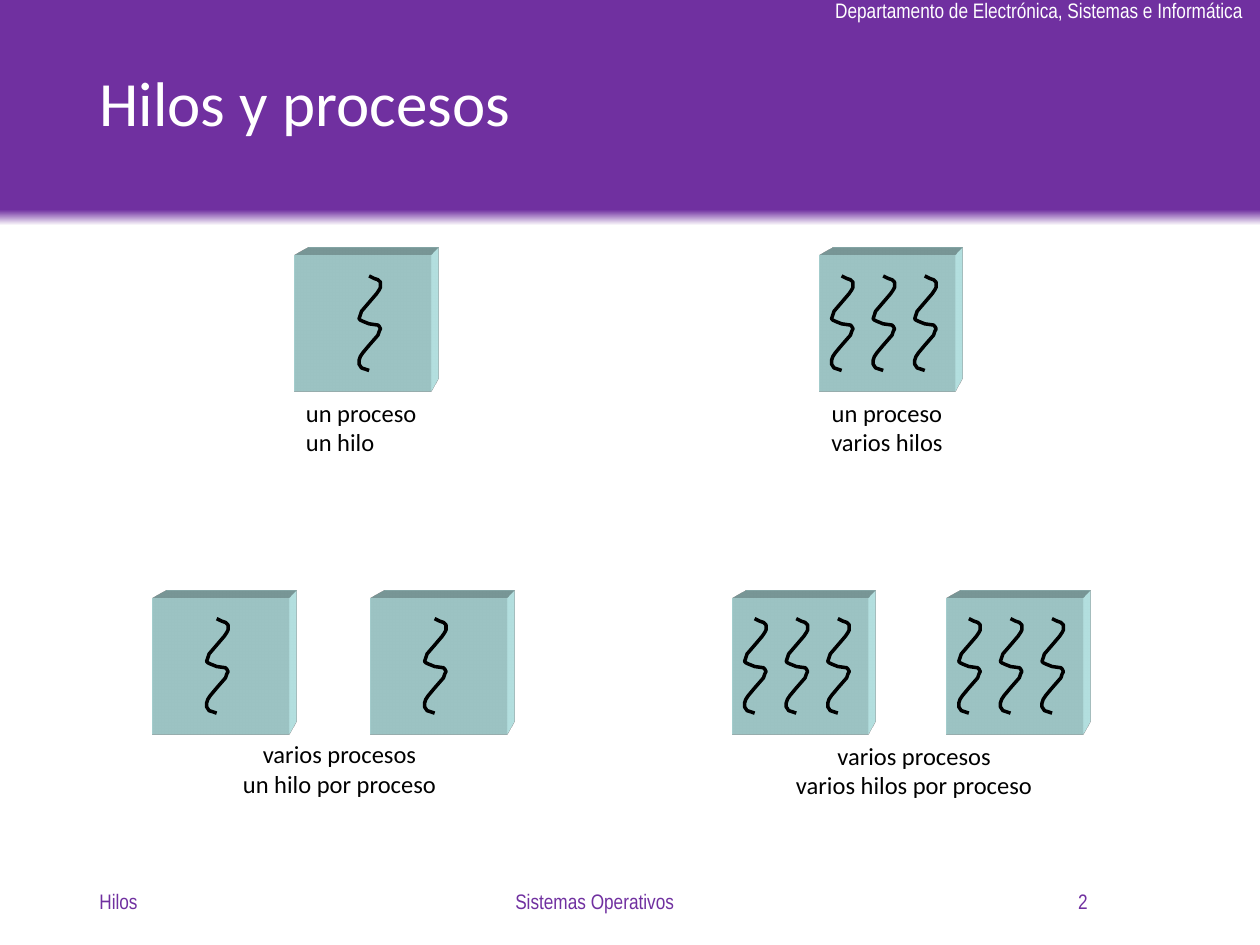
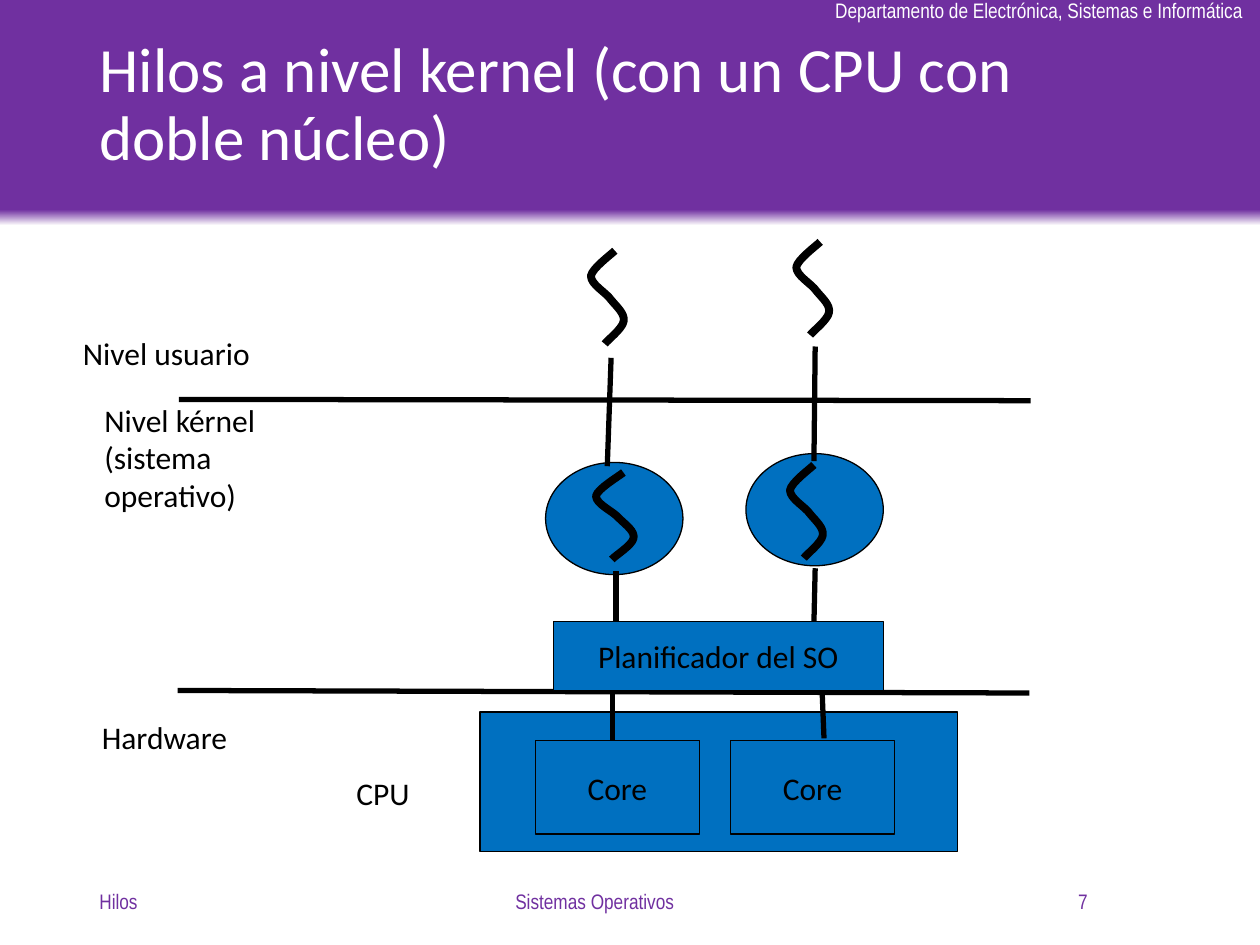
from copy import deepcopy

from lxml import etree
from pptx import Presentation
from pptx.dml.color import RGBColor
from pptx.enum.shapes import MSO_CONNECTOR, MSO_SHAPE
from pptx.enum.text import MSO_ANCHOR, MSO_AUTO_SIZE, PP_ALIGN
from pptx.oxml import parse_xml
from pptx.oxml.ns import nsdecls, qn
from pptx.util import Inches, Pt

RECT, OVAL = MSO_SHAPE.RECTANGLE, MSO_SHAPE.OVAL
LEFT, CENTER, RIGHT = PP_ALIGN.LEFT, PP_ALIGN.CENTER, PP_ALIGN.RIGHT
TOP, MIDDLE = MSO_ANCHOR.TOP, MSO_ANCHOR.MIDDLE
GROW = MSO_AUTO_SIZE.SHAPE_TO_FIT_TEXT
STRAIGHT = MSO_CONNECTOR.STRAIGHT

COLORS = {
    "purple": "7030A0", "white": "FFFFFF", "black": "000000",
    "blue": "0070C0", "cube": "CCFFFF",
}
BODY, NARROW = "Calibri", "Arial Narrow"
CUBE = 1.08

# Thin thread inside a process cube
THREAD = [
    (.08, 0), (.12, .02), (.15, .03), (.17, .05), (.17, .09), (.16, .11),
    (.14, .14), (.08, .21), (.02, .28), (.01, .31), (0, .34), (.01, .35),
    (.03, .36), (.08, .38), (.15, .39), (.16, .4), (.17, .42), (.16, .44),
    (.15, .47), (.08, .55), (.03, .61), (.01, .64), (0, .67), (0, .7),
    (.02, .73), (.05, .74), (.08, .75),
]
# Thick thread: start point, then two controls and an end for each curve
WAVE_SIZE = (.27, .74)
WAVE = [
    (.19, 0),
    (.16, .03), (.01, .14), (0, .2),
    (0, .27), (.12, .33), (.16, .39),
    (.21, .45), (.27, .5), (.26, .56),
    (.25, .62), (.13, .71), (.11, .74),
]

# Perspective depth of the process cubes
SCENE = f"""<a:scene3d {nsdecls('a')}>
  <a:camera prst="legacyPerspectiveTopRight"/>
  <a:lightRig rig="legacyFlat3" dir="b"/>
</a:scene3d>"""
EXTRUSION = f"""<a:sp3d {nsdecls('a')} extrusionH="430200"
    prstMaterial="legacyMatte">
  <a:bevelT w="13500" h="13500" prst="angle"/>
  <a:bevelB w="13500" h="13500" prst="angle"/>
  <a:extrusionClr><a:srgbClr val="{COLORS['cube']}"/></a:extrusionClr>
</a:sp3d>"""


def rgb(name):
    return RGBColor.from_string(COLORS[name])


def set_line(line, width):
    line.color.rgb = rgb("black")
    line.width = Pt(width)


def write(tf, text, size, color="black", font=BODY, align=LEFT, anchor=TOP,
          wrap=False, spacing=None):
    tf.word_wrap = wrap
    tf.vertical_anchor = anchor
    tf.text = text
    for p in tf.paragraphs:
        p.alignment = align
        p.line_spacing = spacing
        for r in p.runs:
            r.font.size = Pt(size)
            r.font.name = font
            r.font.color.rgb = rgb(color)


def add_text(s, box, text, size, grow=True, **style):
    sp = s.shapes.add_textbox(*map(Inches, box))
    write(sp.text_frame, text, size, **style)
    if grow:
        sp.text_frame.auto_size = GROW


def add_box(s, kind, box, color="blue", outline=.75, text=None):
    sp = s.shapes.add_shape(kind, *map(Inches, box))
    sp.shadow.inherit = False
    sp.fill.solid()
    sp.fill.fore_color.rgb = rgb(color)
    if outline:
        set_line(sp.line, outline)
    else:
        sp.line.fill.background()
    if text:
        write(sp.text_frame, text, 18, align=CENTER, anchor=MIDDLE)
    return sp


def add_stroke(s, points, width):
    """Open outline without fill."""
    pts = [(Inches(x), Inches(y)) for x, y in points]
    builder = s.shapes.build_freeform(*pts[0])
    builder.add_line_segments(pts[1:], close=False)
    sp = builder.convert_to_shape()
    sp.shadow.inherit = False
    sp.fill.background()
    set_line(sp.line, width)
    return sp


def add_line(s, x1, y1, x2, y2, arrow=False):
    c = s.shapes.add_connector(STRAIGHT, *map(Inches, (x1, y1, x2, y2)))
    set_line(c.line, 3)
    if arrow:
        ln = c.line._get_or_add_ln()
        etree.SubElement(ln, qn("a:tailEnd")).set("type", "triangle")
    etree.SubElement(c._element.spPr, qn("a:effectLst"))


def add_band(s):
    sp = s.shapes.add_shape(RECT, 0, 0, Inches(10), Inches(1.79))
    sp.shadow.inherit = False
    sp.line.fill.background()
    sp.fill.gradient()
    sp.fill.gradient_angle = 90
    stops = sp.fill.gradient_stops
    for stop, color, position in zip(stops, ("white", "purple"), (0, .07)):
        stop.color.rgb = rgb(color)
        stop.position = position
    # Solid purple from the second stop on
    gs_list = sp._element.spPr.find(".//" + qn("a:gsLst"))
    last = deepcopy(gs_list[-1])
    last.set("pos", "100000")
    gs_list.append(last)


def new_slide(prs, title, number):
    """Blank slide with band, department, title and footers."""
    s = prs.slides.add_slide(prs.slide_layouts[6])
    add_band(s)
    add_text(s, (6.53, -.07, 3.48, .3),
             "Departamento de Electrónica, Sistemas e Informática", 12,
             color="white", font=NARROW)
    add_text(s, (.69, .15, 8.62, 1.39), title, 36, grow=False, color="white",
             anchor=MIDDLE, wrap=True, spacing=.9)
    for x, w, text, align in ((.69, 2.25, "Hilos", LEFT),
                              (3.03, 3.38, "Sistemas Operativos", CENTER),
                              (6.48, 2.25, str(number), RIGHT)):
        add_text(s, (x, 6.95, w, .4), text, 12, grow=False, color="purple",
                 font=NARROW, align=align, anchor=MIDDLE, wrap=True)
    return s


def add_process(s, x, y, threads):
    """Extruded cube with threads at the given offsets."""
    sp = add_box(s, RECT, (x, y, CUBE, CUBE), "cube", outline=None)
    for xml in (SCENE, EXTRUSION):
        sp._element.spPr.append(parse_xml(xml))
    for offset in threads:
        add_stroke(s, [(x + offset + dx, y + .16 + dy) for dx, dy in THREAD], 2)


def add_wave(s, x, y, w=WAVE_SIZE[0], h=WAVE_SIZE[1]):
    sx, sy = w / WAVE_SIZE[0], h / WAVE_SIZE[1]
    sp = add_stroke(s, [(x + px * sx, y + py * sy) for px, py in WAVE], 4.5)
    # Every three segments become one cubic curve
    segments = list(sp._element.iter(qn("a:lnTo")))
    for i in range(0, len(segments), 3):
        curve = etree.SubElement(segments[i].getparent(), qn("a:cubicBezTo"))
        for segment in segments[i:i + 3]:
            curve.append(segment[0])
            segment.getparent().remove(segment)


def build_processes(prs):
    s = new_slide(prs, "Hilos y procesos", 2)
    several = [.1 + .33 * i for i in range(3)]
    top, bottom = 2.03, 4.75
    # Each case: cube places, threads in each cube, caption
    for cubes, y, threads, box, text, align in (
            ([2.34], top, [.51], (2.33, 3.11, 1.09, .57),
             "un proceso\nun hilo", LEFT),
            ([1.21, 2.94], bottom, [.43], (1.82, 5.82, 1.75, .57),
             "varios procesos\nun hilo por proceso", CENTER),
            ([5.81, 7.51], bottom, several, (6.21, 5.83, 2.09, .57),
             "varios procesos\nvarios hilos por proceso", CENTER),
            ([6.5], top, several, (6.49, 3.11, 1.1, .57),
             "un proceso\nvarios hilos", CENTER)):
        group = s.shapes.add_group_shape()
        for x in cubes:
            add_process(group, x, y, threads)
        add_text(group, box, text, 14, align=align)


def build_kernel_threads(prs):
    s = new_slide(prs, "Hilos a nivel kernel (con un CPU con doble núcleo)", 7)
    # Kernel threads and CPU
    for x, y in ((4.33, 3.67), (5.92, 3.6)):
        add_box(s, OVAL, (x, y, 1.09, .89))
    add_box(s, RECT, (3.81, 5.65, 3.79, 1.11))
    for x in (4.25, 5.8):
        add_box(s, RECT, (x, 5.88, 1.3, .74), text="Core")
    add_wave(s, 4.73, 3.75, .31, .69)
    for x, y in ((4.69, 1.99), (6.32, 1.92), (6.27, 3.69)):
        add_wave(s, x, y)
    # Level borders, then links between levels
    for line in ((1.42, 3.17, 8.18, 3.18), (1.41, 5.48, 8.17, 5.5),
                 (6.46, 3.66, 6.47, 2.75), (4.82, 3.7, 4.85, 2.84),
                 (4.89, 5.01, 4.89, 4.53), (6.46, 4.94, 6.47, 4.51)):
        add_line(s, *line)
    for line in ((4.86, 5.88, 4.86, 5.35), (6.54, 5.86, 6.52, 5.36)):
        add_line(s, *line, arrow=True)
    # Scheduler covers the arrowheads
    add_box(s, RECT, (4.39, 4.93, 2.62, .55), text="Planificador del SO")
    # Level names
    for box, text, wrap in (
            ((.56, 2.6, 1.98, .41), "Nivel usuario", True),
            ((.73, 3.13, 1.98, 1.01), "Nivel kérnel (sistema operativo)", True),
            ((.71, 5.65, 1.2, .41), "Hardware", False),
            ((2.73, 6.09, .62, .41), "CPU", False)):
        add_text(s, box, text, 18, wrap=wrap)


def main():
    prs = Presentation()
    prs.slide_width, prs.slide_height = Inches(10), Inches(7.5)
    build_processes(prs)
    build_kernel_threads(prs)
    prs.save("out.pptx")


main()
